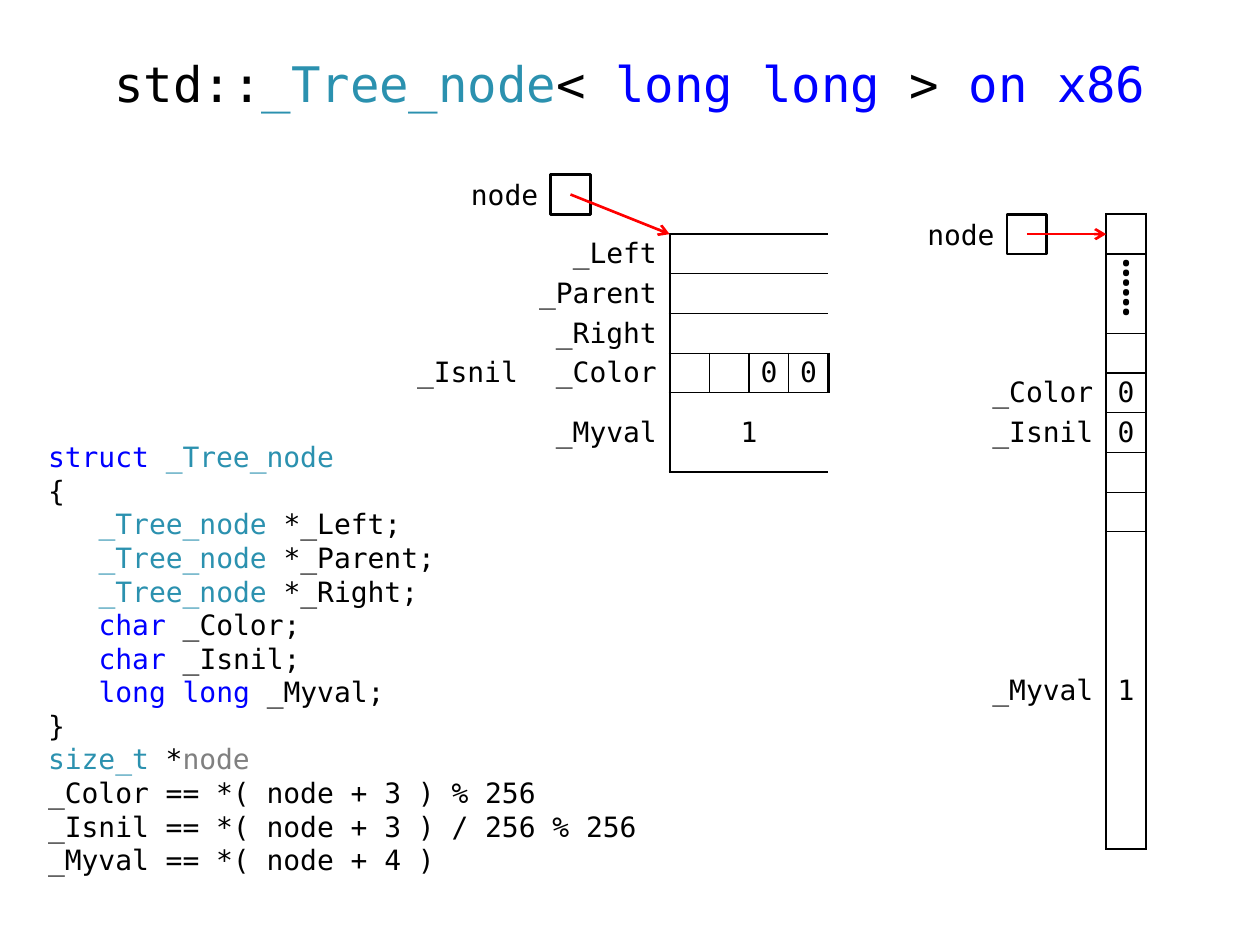
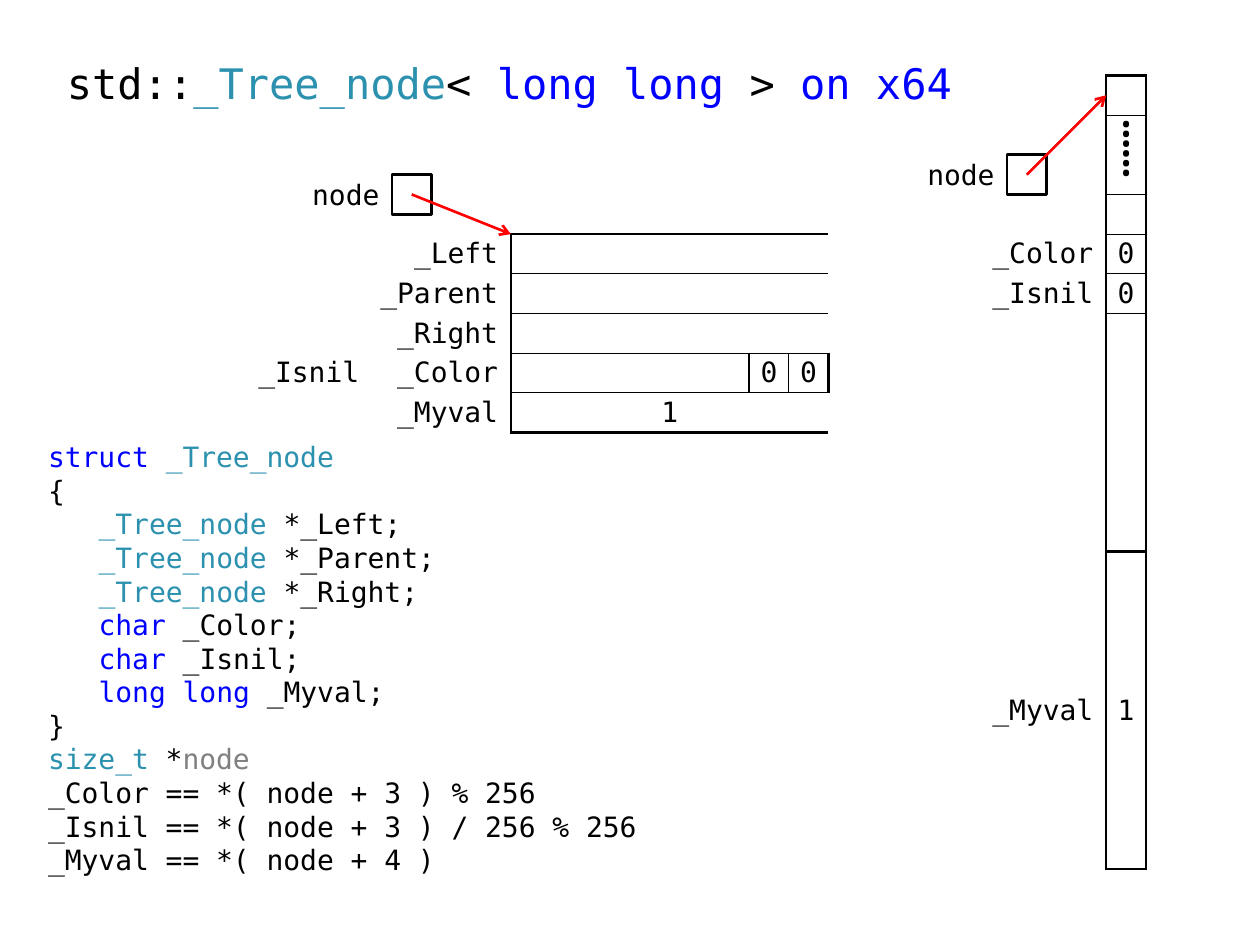
from dataclasses import dataclass
from itertools import product

from lxml.etree import SubElement
from pptx import Presentation
from pptx.dml.color import RGBColor
from pptx.enum.shapes import MSO_CONNECTOR, MSO_SHAPE
from pptx.enum.text import MSO_ANCHOR, PP_ALIGN
from pptx.oxml.ns import qn
from pptx.util import Inches, Pt

PX = 7200
CELL = 40
LABEL = 140


@dataclass(frozen=True)
class Theme:
    """Colours, fonts, type sizes and line weights."""
    ink: str = "000000"
    type_name: str = "2B91AF"
    keyword: str = "0000FF"
    param: str = "808080"
    paper: str = "FFFFFF"
    arrow: str = "FF0000"
    mono: str = "DejaVu Sans Mono"
    serif: str = "Times New Roman"
    code: int = 16
    dots: int = 28
    code_leading: float = 19.2
    thick: float = 1.5
    thin: float = 0.75


T = Theme()
DOTS = "⸽"
CODE = [
    (0, [("struct ", T.keyword), ("_Tree_node", T.type_name)]),
    (0, [("{", T.ink)]),
    *[(1, [("_Tree_node", T.type_name), (f" *{link};", T.ink)])
      for link in ("_Left", "_Parent", "_Right")],
    *[(1, [(kind, T.keyword), (f" {field};", T.ink)])
      for kind, field in (("char", "_Color"), ("char", "_Isnil"), ("long long", "_Myval"))],
    (0, [("}", T.ink)]),
    (0, [("size_t", T.type_name), (" *", T.ink), ("node", T.param)]),
    *[(0, [(line, T.ink)])
      for line in ("_Color == *( node + 3 ) % 256",
                   "_Isnil == *( node + 3 ) / 256 % 256",
                   "_Myval == *( node + 4 )")],
]


class Deck:
    """Draws styled elements on the current slide."""

    def __init__(self, theme):
        """Start an empty presentation."""
        self.t = theme
        self.prs = Presentation()
        self.prs.slide_width, self.prs.slide_height = Inches(10), Inches(7.5)

    def new_slide(self):
        """Add a blank slide and make it current."""
        self.s = self.prs.slides.add_slide(self.prs.slide_layouts[6])

    def run(self, p, text, size, color, font=None):
        """Append one run to a paragraph."""
        r = p.add_run()
        r.text = text
        r.font.name = font or self.t.mono
        r.font.size = Pt(size)
        r.font.color.rgb = RGBColor.from_string(color)

    def text_box(self, x, y, w, h, anchor=MSO_ANCHOR.MIDDLE):
        """Add a wrapping text box and return its frame."""
        tf = self.s.shapes.add_textbox(x * PX, y * PX, w * PX, h * PX).text_frame
        tf.word_wrap = True
        tf.vertical_anchor = anchor
        return tf

    def title(self, platform, size, w, align):
        """Write the slide title."""
        p = self.text_box(55, 37, w, 100).paragraphs[0]
        p.alignment, p.line_spacing = align, 0.9
        for text, color in (("std::", self.t.ink), ("_Tree_node", self.t.type_name),
                            ("< ", self.t.ink), ("long long", self.t.keyword),
                            (" >", self.t.ink), (f" on {platform}", self.t.keyword)):
            self.run(p, text, size, color)

    def code(self, lines):
        """Write the code listing."""
        tf = self.text_box(36, 437, 1200, 460, MSO_ANCHOR.TOP)
        for k, (level, runs) in enumerate(lines):
            p = tf.add_paragraph() if k else tf.paragraphs[0]
            p.line_spacing = Pt(self.t.code_leading)
            p._p.get_or_add_pPr().set("marL", str(level * 51 * PX))
            for text, color in runs:
                self.run(p, text, self.t.code, color)

    def pointer(self, x, y, target):
        """Draw the node variable with an arrow to its target."""
        tf = self.text_box(x - 100, y, 100, CELL)
        tf.margin_top = tf.margin_bottom = 0
        p = tf.paragraphs[0]
        p.alignment = PP_ALIGN.RIGHT
        self.run(p, "node", self.t.code, self.t.ink)
        sp = self.s.shapes.add_shape(MSO_SHAPE.RECTANGLE, x * PX, y * PX, CELL * PX, CELL * PX)
        sp.shadow.inherit = False
        sp.fill.solid()
        sp.fill.fore_color.rgb = RGBColor.from_string(self.t.paper)
        sp.line.color.rgb = RGBColor.from_string(self.t.ink)
        sp.line.width = Pt(self.t.thick)
        self.arrow((x + CELL // 2, y + CELL // 2), target)

    def arrow(self, start, end):
        """Draw an arrow between two points."""
        cx = self.s.shapes.add_connector(
            MSO_CONNECTOR.STRAIGHT, *[v * PX for v in (*start, *end)])
        cx.line.color.rgb = RGBColor.from_string(self.t.arrow)
        cx.line.width = Pt(self.t.thick)
        SubElement(cx.line._get_or_add_ln(), qn("a:tailEnd"), type="arrow")
        SubElement(cx._element.spPr, qn("a:effectLst"))

    def borders(self, cell, weights):
        """Set left, right, top and bottom cell borders; zero means none."""
        tcPr = cell._tc.get_or_add_tcPr()
        for k, (side, weight) in enumerate(zip("LRTB", weights)):
            ln = SubElement(tcPr, qn(f"a:ln{side}"), w=str(Pt(weight)))
            if weight:
                fill = SubElement(ln, qn("a:solidFill"))
                SubElement(fill, qn("a:srgbClr"), val=self.t.ink)
            else:
                SubElement(ln, qn("a:noFill"))
            tcPr.insert(k, ln)

    def memory_table(self, x, y, cols, rows, labels, spans, texts, heavy=()):
        """Draw a memory map whose first columns hold field labels."""
        table = self.s.shapes.add_table(len(rows), len(cols), x * PX, y * PX,
                                        sum(cols) * PX, sum(rows) * PX).table
        table.first_row = table.horz_banding = False
        for col, w in zip(table.columns, cols):
            col.width = w * PX
        for row, h in zip(table.rows, rows):
            row.height = h * PX
        owner = {}
        for (i, j), (down, across) in spans.items():
            table.cell(i, j).merge(table.cell(i + down - 1, j + across - 1))
            for at in product(range(i, i + down), range(j, j + across)):
                owner[at] = (i, j, i + down, j + across)
        strong = {0, len(rows), *heavy}

        def upright(k):
            """Weight of vertical grid line k."""
            if k < labels:
                return 0
            return self.t.thick if k in (labels, len(cols)) else self.t.thin

        def level(k, j):
            """Weight of horizontal grid line k in column j."""
            if j < labels:
                return 0
            return self.t.thick if k in strong else self.t.thin

        for i, j in product(range(len(rows)), range(len(cols))):
            top, left, bottom, right = owner.get((i, j), (i, j, i + 1, j + 1))
            cell = table.cell(i, j)
            cell.fill.background()
            self.borders(cell, (upright(j) * (j == left), upright(j + 1) * (j + 1 == right),
                                level(i, j) * (i == top), level(i + 1, j) * (i + 1 == bottom)))
            cell.vertical_anchor = MSO_ANCHOR.MIDDLE
            cell.margin_left = cell.margin_right = (13 if j < labels else 4) * PX
            cell.margin_top = cell.margin_bottom = 0
            text = texts.get((i, j))
            if text:
                p = cell.text_frame.paragraphs[0]
                p.alignment = PP_ALIGN.RIGHT if j < labels else PP_ALIGN.CENTER
                if text == DOTS:
                    cell.margin_bottom = 10 * PX
                    self.run(p, text, self.t.dots, self.t.ink, self.t.serif)
                else:
                    self.run(p, text, self.t.code, self.t.ink)

    def word_map(self, x, byte_cols, value_height):
        """Draw the node laid out in machine words, data starting at x."""
        y, n = 236, len(byte_cols)
        spans = {(i, 0): (1, 2) for i in (0, 1, 2, 4)}
        spans |= {(i, 2): (1, n) for i in (0, 1, 2, 4)}
        texts = {(0, 0): "_Left", (1, 0): "_Parent", (2, 0): "_Right",
                 (3, 0): "_Isnil", (3, 1): "_Color", (3, n): "0", (3, n + 1): "0",
                 (4, 0): "_Myval", (4, 2): "1"}
        self.memory_table(x - 2 * LABEL, y, [LABEL, LABEL, *byte_cols],
                          [CELL] * 4 + [value_height], 2, spans, texts)
        self.pointer(x - 120, y - 60, (x, y))

    def byte_map(self, y, padding, node_drop, heavy=()):
        """Draw the node laid out byte by byte, starting at y."""
        x, last = 1115, 6 + len(padding)
        texts = {(1, 1): DOTS, (4, 0): "_Color", (4, 1): "0", (5, 0): "_Isnil",
                 (5, 1): "0", (last, 0): "_Myval", (last, 1): "1"}
        self.memory_table(x - LABEL, y, [LABEL, CELL], [CELL] * 6 + padding + [8 * CELL],
                          1, {(1, 1): (2, 1)}, texts, heavy)
        self.pointer(x - 100, y + node_drop, (x, y + CELL // 2))


def main():
    """Build and save both slides."""
    deck = Deck(T)

    deck.new_slide()
    deck.title("x86", 28, 1160, PP_ALIGN.CENTER)
    deck.code(CODE)
    deck.byte_map(216, [CELL] * 2, 0)
    deck.word_map(675, [CELL] * 4, 2 * CELL)

    deck.new_slide()
    deck.title("x64", 24, 940, PP_ALIGN.LEFT)
    deck.code(CODE)
    deck.word_map(515, [6 * CELL, CELL, CELL], CELL)
    deck.byte_map(76, [6 * CELL], 80, heavy=(7,))

    deck.prs.save("out.pptx")


if __name__ == "__main__":
    main()
